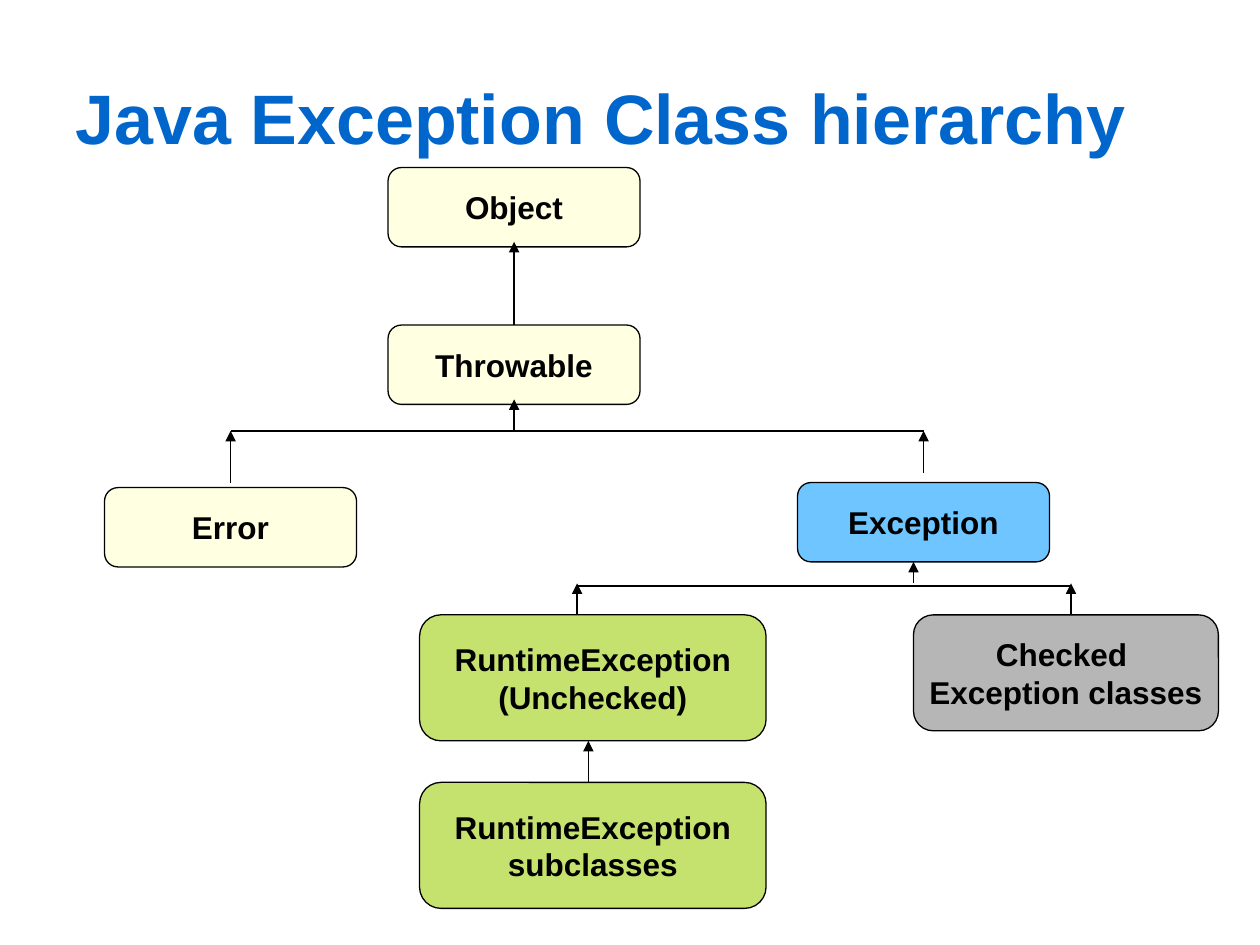
"""Build a slide showing the Java exception class hierarchy."""
from lxml.etree import SubElement
from pptx import Presentation
from pptx.dml.color import RGBColor
from pptx.enum.shapes import MSO_CONNECTOR as Connector, MSO_SHAPE as Shape
from pptx.enum.text import MSO_ANCHOR as Anchor, PP_ALIGN as Align
from pptx.oxml.ns import qn
from pptx.util import Inches, Pt

BLUE = RGBColor(0x00, 0x66, 0xCC)
BLACK = RGBColor(0x00, 0x00, 0x00)
CREAM = RGBColor(0xFF, 0xFF, 0xCC)
SKY = RGBColor(0x00, 0x99, 0xFF)
GRAY = RGBColor(0x80, 0x80, 0x80)
GREEN = RGBColor(0x99, 0xCC, 0x00)
OPACITY = 57
FONT = "Arial"

TITLE = "Java Exception Class hierarchy"
SMALL, LARGE, CHECKED = (2, 0.63), (2.75, 1), (2.42, 0.92)
CLASSES = [
    (["Object"], 3.08, 1.33, SMALL, CREAM),
    (["Exception"], 6.33, 3.83, SMALL, SKY),
    (["Throwable"], 3.08, 2.58, SMALL, CREAM),
    (["Checked ", "Exception classes"], 7.25, 4.88, CHECKED, GRAY),
    (["RuntimeException", "(Unchecked)"], 3.33, 4.88, LARGE, GREEN),
    (["Error"], 0.83, 3.87, SMALL, CREAM),
    (["RuntimeException", "subclasses"], 3.33, 6.21, LARGE, GREEN),
]
ARROWS = [
    (4.08, 3.42, 3.17), (1.83, 3.83, 3.42), (7.33, 3.75, 3.42),
    (4.58, 4.88, 4.63), (8.5, 4.88, 4.63), (7.25, 4.63, 4.46),
    (4.67, 6.21, 5.88),
]
RAILS = [(1.83, 7.33, 3.42), (4.59, 8.49, 4.65)]


def set_font(paragraph, size, color):
    font = paragraph.font
    font.name, font.size, font.bold = FONT, Pt(size), True
    font.color.rgb = color


def add_class(slide, lines, left, top, size, color):
    box = slide.shapes.add_shape(
        Shape.ROUNDED_RECTANGLE, *map(Inches, (left, top, *size)))
    box.shadow.inherit = False
    box.adjustments[0] = 0.17
    box.fill.solid()
    box.fill.fore_color.rgb = color
    color_element = box.fill._xPr.find(qn("a:solidFill"))[0]
    SubElement(color_element, qn("a:alpha"), val=str(OPACITY * 1000))
    box.line.color.rgb = BLACK
    box.line.width = Pt(0.75)
    frame = box.text_frame
    frame.word_wrap = False
    frame.vertical_anchor = Anchor.MIDDLE
    frame.text = "\n".join(lines)
    for paragraph in frame.paragraphs:
        paragraph.alignment = Align.CENTER
        set_font(paragraph, 18, BLACK)
    return box


def add_line(slide, start, end, arrow=False):
    line = slide.shapes.add_connector(
        Connector.STRAIGHT, *map(Inches, (*start, *end)))
    line.line.color.rgb = BLACK
    line.line.width = Pt(0.75)
    if arrow:
        SubElement(line.line._get_or_add_ln(), qn("a:tailEnd"), type="triangle")
    SubElement(line._element.spPr, qn("a:effectLst"))
    return line


def main():
    presentation = Presentation()
    presentation.slide_width, presentation.slide_height = Inches(10), Inches(7.5)
    slide = presentation.slides.add_slide(presentation.slide_layouts[5])

    title = slide.shapes.title
    title.left, title.top, title.width, title.height = map(
        Inches, (0.5, 0.3, 9, 1.25))
    title.text_frame.text = TITLE
    title.text_frame.vertical_anchor = Anchor.MIDDLE
    paragraph = title.text_frame.paragraphs[0]
    paragraph.alignment = Align.LEFT
    set_font(paragraph, 40, BLUE)

    boxes = {item[0][-1]: add_class(slide, *item) for item in CLASSES}
    to_object = add_line(slide, (4.08, 2.58), (4.08, 1.92), arrow=True)
    to_object.begin_connect(boxes["Throwable"], 0)
    for x, bottom, top in ARROWS:
        add_line(slide, (x, bottom), (x, top), arrow=True)
    for left, right, y in RAILS:
        add_line(slide, (left, y), (right, y))

    presentation.save("out.pptx")


if __name__ == "__main__":
    main()
